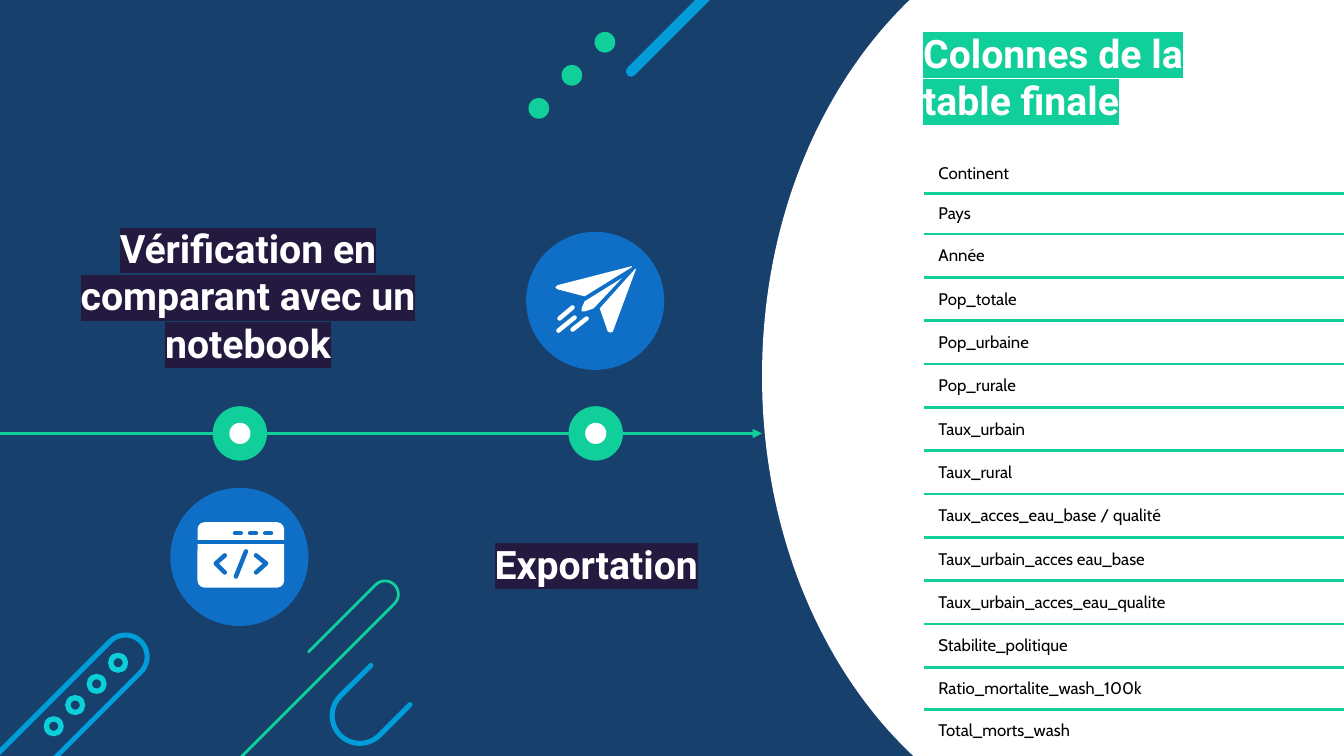
"""Build the pipeline slide on a grid of square cells, 133.33 columns by 75 rows."""
import math
from dataclasses import dataclass
from typing import NamedTuple

from lxml import etree
from pptx import Presentation, util as u
from pptx.dml.color import RGBColor
from pptx.enum import shapes, text
from pptx.oxml.ns import qn

COLUMNS, ROWS = 133.33, 75
CELL = u.Inches(0.1)
NAVY, WHITE, BLACK, GREEN = "17406D", "FFFFFF", "000000", "10CF9B"
SKY, CYAN, BLUE, PLUM = "009DD9", "0BD0D9", "0F6FC6", "24193F"
OVAL, RING = shapes.MSO_SHAPE.OVAL, shapes.MSO_SHAPE.DONUT


class Point(NamedTuple):
    column: float
    row: float


@dataclass
class Disc:
    column: float
    row: float
    size: float
    colour: str
    kind: shapes.MSO_SHAPE = OVAL


@dataclass
class Stroke:
    points: list
    colour: str
    width: float


@dataclass
class Hairpin:
    column: float
    row: float
    radius: float
    opening: int
    upper_arm: float
    lower_arm: float
    colour: str
    width: float


@dataclass
class Heading:
    words: str
    column: float
    row: float
    width: float
    height: float
    highlight: str
    centred: bool = True


PANEL_EDGE = [
    [(91.2, -0.9), (81.7, 7.7), (75.6, 21.5), (75.6, 37.3)],
    [(75.6, 37.3), (75.6, 53.3), (81.9, 67.4), (91.6, 75.9)],
]
HAIRPINS = [
    Hairpin(35.7, 71, 2.75, 1, 4.3, 4.3, SKY, 3.6),
    Hairpin(38.2, 58.95, 1.32, -1, 9.4, 28.3, GREEN, 2),
    Hairpin(12.45, 65.15, 2.15, -1, 17.7, 17.7, SKY, 3.6),
]
DECOR_DISCS = [
    *[Disc(11.72 - 2.13 * i, 65.75 + 2.1 * i, 2, CYAN, RING) for i in range(4)],
    *[Disc(53.45 + 3.28 * i, 10.75 - 3.28 * i, 2.05, GREEN) for i in range(3)],
]
MILESTONES = [(23.8, 43), (59.1, 43)]
ICON_DISCS = [Disc(23.75, 55.25, 13.7, BLUE), Disc(59.05, 29.85, 13.7, BLUE)]
CODE_STROKES = [
    Stroke([(19.6, 53.8), (28.2, 53.8)], BLUE, 2.9),
    *[Stroke([(c, 52.9), (c + 0.6, 52.9)], BLUE, 3) for c in (23.3, 24.8, 26.3)],
    Stroke([(22.3, 55.1), (21.4, 55.9), (22.3, 56.8)], BLUE, 3.2),
    Stroke([(25.4, 55.1), (26.4, 55.9), (25.4, 56.8)], BLUE, 3.2),
    Stroke([(24.4, 54.7), (23.4, 57.2)], BLUE, 3.2),
]
PLANE_PARTS = [
    [(62.7, 26.4), (55.3, 28.3), (55.1, 28.5), (55.3, 28.7), (58, 29.4), (62.7, 26.5)],
    [(61.7, 27.6), (58, 29.9), (57.7, 30.6), (57.7, 30.9), (58, 30.9), (58.9, 30.6)],
    [(63.1, 26.7), (63, 26.7), (59.5, 30.6), (60.3, 32.9), (60.6, 33), (60.8, 32.9)],
]
PLANE_STROKES = [
    Stroke([(55.5, 31.6), (56.8, 30.5)], WHITE, 3.2),
    Stroke([(56.8, 32.7), (58.2, 31.6)], WHITE, 3.2),
    Stroke([(55.4, 32.8), (57, 31.5)], WHITE, 3.2),
]
HEADINGS = [
    Heading("Colonnes de la table finale", 90.6, 2.4, 28.8, 10.4, GREEN, False),
    Heading("Exportation", 42.6, 53.2, 33.1, 5.4, PLUM),
    Heading("Vérification en comparant avec un notebook", 6.3, 26.6, 36.6, 5.4, PLUM),
]
FIELDS = [
    "Continent", "Pays", "Année", "Pop_totale", "Pop_urbaine", "Pop_rurale",
    "Taux_urbain", "Taux_rural", "Taux_acces_eau_base / qualité",
    "Taux_urbain_acces eau_base", "Taux_urbain_acces_eau_qualite",
    "Stabilite_politique", "Ratio_mortalite_wash_100k", "Total_morts_wash",
]
FIELD_HEIGHTS = [4] * 2 + [4.3] * 10 + [4.2] * 2


def cells(count: float) -> u.Emu:
    return u.Emu(round(count * CELL))


def paint(colour_format, colour: str) -> None:
    colour_format.rgb = RGBColor.from_string(colour)


def fill(target, colour: str) -> None:
    target.fill.solid()
    paint(target.fill.fore_color, colour)


def draw_shape(slide, kind, column: float, row: float, width: float, height: float, colour: str):
    shape = slide.shapes.add_shape(kind, cells(column), cells(row), cells(width), cells(height))
    shape.shadow.inherit = False
    fill(shape, colour)
    shape.line.fill.background()
    return shape


def draw_disc(slide, disc: Disc) -> None:
    left, top = disc.column - disc.size / 2, disc.row - disc.size / 2
    shape = draw_shape(slide, disc.kind, left, top, disc.size, disc.size, disc.colour)
    if disc.kind == RING:
        shape.adjustments[0] = 0.27


def draw_outline(slide, points: list, closed: bool):
    (left, top), *rest = [(cells(column), cells(row)) for column, row in points]
    builder = slide.shapes.build_freeform(left, top, scale=1.0)
    builder.add_line_segments(rest, close=closed)
    shape = builder.convert_to_shape()
    shape.shadow.inherit = False
    return shape


def draw_polygon(slide, points: list, colour: str) -> None:
    shape = draw_outline(slide, points, True)
    fill(shape, colour)
    shape.line.fill.background()


def draw_stroke(slide, stroke: Stroke):
    if len(stroke.points) == 2:
        ends = [cells(value) for point in stroke.points for value in point]
        shape = slide.shapes.add_connector(shapes.MSO_CONNECTOR.STRAIGHT, *ends)
        etree.SubElement(shape.element.spPr, qn("a:effectLst"))
    else:
        shape = draw_outline(slide, stroke.points, False)
        shape.fill.background()
    paint(shape.line.color, stroke.colour)
    shape.line.width = u.Pt(stroke.width)
    line = shape.element.spPr.find(qn("a:ln"))
    line.set("cap", "rnd")
    etree.SubElement(line, qn("a:round"))
    return line


def hairpin_points(pin: Hairpin) -> list[Point]:
    angles = [math.radians(225 - pin.opening * 9 * step) for step in range(21)]
    arc = [Point(pin.column + pin.radius * math.cos(a), pin.row + pin.radius * math.sin(a))
           for a in angles]
    upper, lower = (pin.opening * arm * math.sqrt(0.5) for arm in (pin.upper_arm, pin.lower_arm))
    return [Point(arc[0].column + upper, arc[0].row - upper), *arc,
            Point(arc[-1].column + lower, arc[-1].row - lower)]


def bezier_points(controls: list, steps: int = 40) -> list[Point]:
    shares = [step / steps for step in range(steps + 1)]
    return [Point(*(sum(math.comb(3, k) * (1 - t) ** (3 - k) * t ** k * controls[k][axis]
                        for k in range(4)) for axis in (0, 1))) for t in shares]


def add_run(paragraph, words: str, font: str, size: float, colour: str):
    run = paragraph.add_run()
    run.text = words
    run.font.name, run.font.size = font, u.Pt(size)
    paint(run.font.color, colour)
    return run


def draw_heading(slide, heading: Heading) -> None:
    box = slide.shapes.add_textbox(*map(cells, (heading.column, heading.row,
                                                heading.width, heading.height)))
    frame = box.text_frame
    frame.word_wrap = True
    paragraph = frame.paragraphs[0]
    if heading.centred:
        frame.vertical_anchor = text.MSO_ANCHOR.MIDDLE
        frame.margin_left = frame.margin_right = cells(1.3)
        frame.margin_top = frame.margin_bottom = cells(1.3)
        paragraph.alignment = text.PP_ALIGN.CENTER
    run = add_run(paragraph, heading.words, "Roboto", 28, WHITE)
    run.font.bold = True
    highlight = etree.Element(qn("a:highlight"))
    etree.SubElement(highlight, qn("a:srgbClr"), val=heading.highlight)
    run.font.fill._xPr.find(qn("a:solidFill")).addnext(highlight)


def add_border(cell, side: str) -> None:
    border = etree.Element(qn(f"a:{side}"), w=str(u.Pt(2.25)))
    etree.SubElement(etree.SubElement(border, qn("a:solidFill")), qn("a:srgbClr"), val=GREEN)
    cell._tc.get_or_add_tcPr().insert(0, border)


def draw_fields(slide) -> None:
    frame = slide.shapes.add_table(len(FIELDS), 1, cells(91.7), cells(15.2),
                                   cells(42.5), cells(sum(FIELD_HEIGHTS)))
    table = frame.table
    table.first_row = table.horz_banding = False
    for index, (field, height) in enumerate(zip(FIELDS, FIELD_HEIGHTS)):
        table.rows[index].height = cells(height)
        cell = table.cell(index, 0)
        cell.fill.background()
        cell.vertical_anchor = text.MSO_ANCHOR.MIDDLE
        cell.margin_left, cell.margin_right = cells(1.4), cells(1.8)
        cell.margin_top = cell.margin_bottom = cells(1)
        add_run(cell.text_frame.paragraphs[0], field, "Cabin", 12, BLACK)
        if index < len(FIELDS) - 1:
            add_border(cell, "lnB")
        if index > 0:
            add_border(cell, "lnT")


def main() -> None:
    presentation = Presentation()
    presentation.slide_width, presentation.slide_height = cells(COLUMNS), cells(ROWS)
    slide = presentation.slides.add_slide(presentation.slide_layouts[6])
    fill(slide.background, NAVY)
    edge = [point for curve in PANEL_EDGE for point in bezier_points(curve)]
    draw_polygon(slide, [*edge, (COLUMNS, 75.9), (COLUMNS, -0.9)], WHITE)
    for pin in HAIRPINS:
        draw_stroke(slide, Stroke(hairpin_points(pin), pin.colour, pin.width))
    draw_stroke(slide, Stroke([(62.6, 7.1), (70.7, -1)], SKY, 7.5))
    for disc in DECOR_DISCS + ICON_DISCS:
        draw_disc(slide, disc)
    for heading in HEADINGS:
        draw_heading(slide, heading)
    draw_fields(slide)
    arrow = draw_stroke(slide, Stroke([(0, 43), (75.6, 43)], GREEN, 2.25))
    etree.SubElement(arrow, qn("a:tailEnd"), type="triangle")
    for column, row in MILESTONES:
        draw_disc(slide, Disc(column, row, 5.4, GREEN))
        draw_disc(slide, Disc(column, row, 2.1, WHITE))
    window = draw_shape(slide, shapes.MSO_SHAPE.ROUNDED_RECTANGLE, 19.6, 51.8, 8.6, 6.5, WHITE)
    window.adjustments[0] = 0.11
    for part in PLANE_PARTS:
        draw_polygon(slide, part, WHITE)
    for stroke in CODE_STROKES + PLANE_STROKES:
        draw_stroke(slide, stroke)
    presentation.save("out.pptx")


if __name__ == "__main__":
    main()
